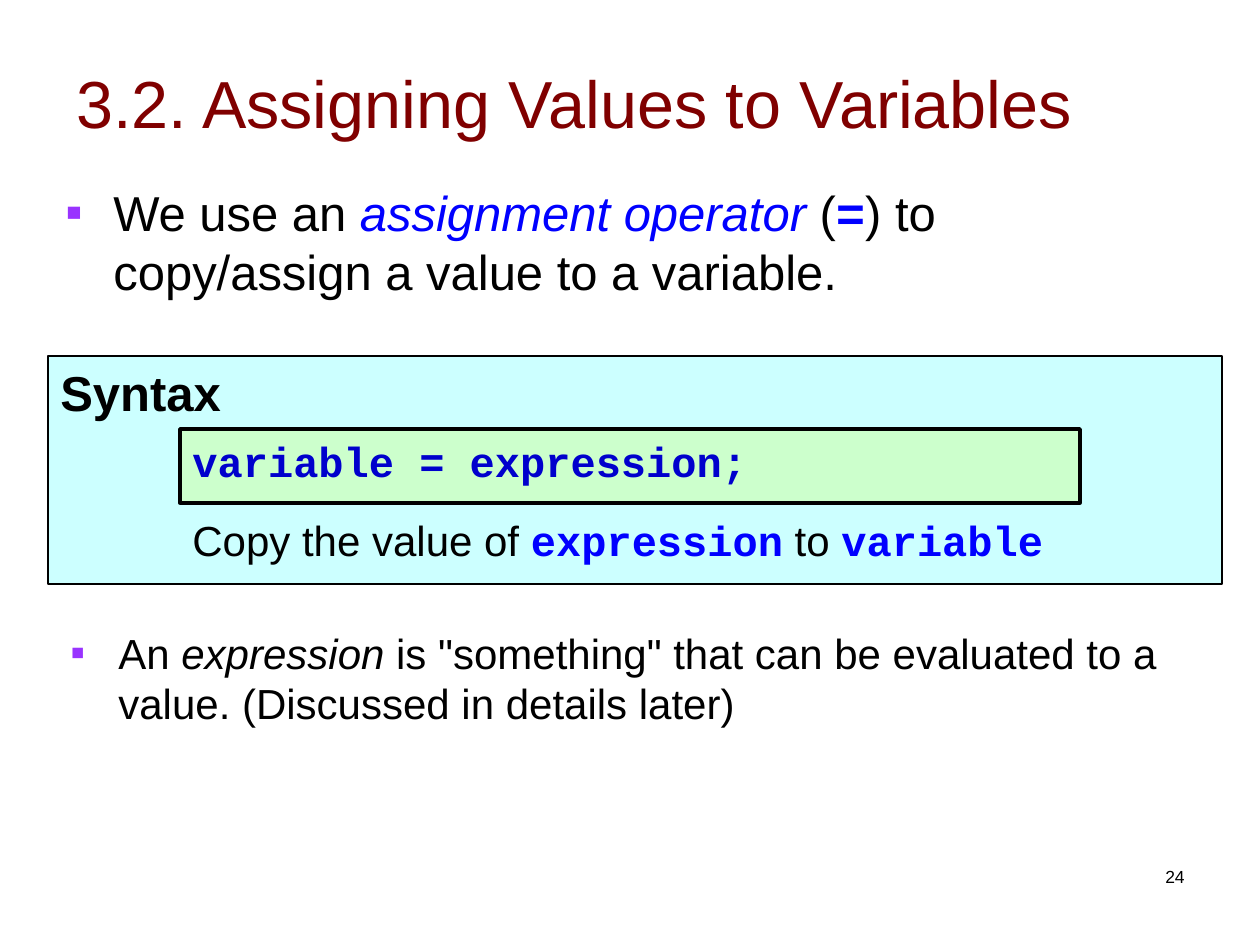
from dataclasses import dataclass

from lxml import etree
from pptx import Presentation
from pptx import util as u
from pptx.dml.color import RGBColor
from pptx.enum import shapes, text
from pptx.oxml.ns import qn


@dataclass(frozen=True)
class Theme:
    sans: str = "Arial"
    mono: str = "Courier New"
    black: str = "000000"
    maroon: str = "800000"
    blue: str = "0000FF"
    code_blue: str = "0000CC"
    violet: str = "9933FF"
    cyan: str = "CCFFFF"
    green: str = "CCFFCC"
    title: int = 38
    lead: int = 28
    body: int = 24
    small: int = 10


THEME = Theme()


def px(length):
    return u.Emu(round(length * 914400 / 126))


def plain(words, **style):
    return words, style


def code(words, color=THEME.blue):
    return words, dict(font=THEME.mono, color=color, bold=True)


def write(holder, size, runs, before=0, align=text.PP_ALIGN.LEFT,
          anchor=text.MSO_ANCHOR.TOP):
    frame = holder.text_frame
    frame.word_wrap = True
    frame.vertical_anchor = anchor
    paragraph = frame.paragraphs[0]
    paragraph.alignment = align
    paragraph.space_before = u.Pt(before)
    for words, style in runs:
        run = paragraph.add_run()
        run.text = words
        run.font.size = u.Pt(size)
        run.font.name = style.get("font", THEME.sans)
        run.font.bold = style.get("bold", False)
        run.font.italic = style.get("italic", False)
        run.font.color.rgb = RGBColor.from_string(style.get("color", THEME.black))
    return paragraph


def add_label(slide, box, size, runs, **layout):
    label = slide.shapes.add_textbox(*map(px, box))
    return write(label, size, runs, **layout)


def add_bullet(slide, box, size, runs, before):
    properties = add_label(slide, box, size, runs, before=before)._p.get_or_add_pPr()
    indent = px(48)
    properties.set("marL", str(indent))
    properties.set("indent", str(-indent))
    color = etree.SubElement(properties, qn("a:buClr"))
    etree.SubElement(color, qn("a:srgbClr"), val=THEME.violet)
    etree.SubElement(properties, qn("a:buFont"), typeface=THEME.sans)
    etree.SubElement(properties, qn("a:buChar"), char="▪")


def add_panel(slide, box, fill, line_width, size, runs):
    panel = slide.shapes.add_shape(shapes.MSO_SHAPE.RECTANGLE, *map(px, box))
    panel.shadow.inherit = False
    panel.fill.solid()
    panel.fill.fore_color.rgb = RGBColor.from_string(fill)
    panel.line.color.rgb = RGBColor.from_string(THEME.black)
    panel.line.width = u.Pt(line_width)
    write(panel, size, runs)


def add_syntax(slide, box):
    left, top, width, height = box
    inner = left + 132
    add_panel(slide, box, THEME.cyan, 0.75, THEME.lead,
              [plain("Syntax", bold=True)])
    add_panel(slide, (inner, top + 73, 900, 74), THEME.green, 2, THEME.body,
              [code("variable = expression;", THEME.code_blue)])
    add_label(slide, (inner, top + 152, 969, 63), THEME.body,
              [plain("Copy the value of "), code("expression"),
               plain(" to "), code("variable")], before=6)


def build_slide(slide):
    add_label(slide, (64, 23, 1134, 158), THEME.title,
              [plain("3.2. Assigning Values to Variables", color=THEME.maroon)],
              anchor=text.MSO_ANCHOR.MIDDLE)
    add_bullet(slide, (53, 176, 1148, 142), THEME.lead,
               [plain("We use an "),
                plain("assignment operator ", italic=True, color=THEME.blue),
                plain("("), code("="),
                plain(") to copy/assign a value to a variable.")], before=7)
    add_syntax(slide, (48, 356, 1174, 228))
    add_bullet(slide, (58, 621, 1148, 238), THEME.body,
               [plain("An "), plain("expression", italic=True),
                plain(' is "something" that can be evaluated to a value. '
                      "(Discussed in details later)")], before=6)
    add_label(slide, (903, 860, 294, 63), THEME.small, [plain("24")],
              align=text.PP_ALIGN.RIGHT)


def main():
    deck = Presentation()
    deck.slide_width, deck.slide_height = px(1260), px(945)
    build_slide(deck.slides.add_slide(deck.slide_layouts[6]))
    deck.save("out.pptx")


if __name__ == "__main__":
    main()
